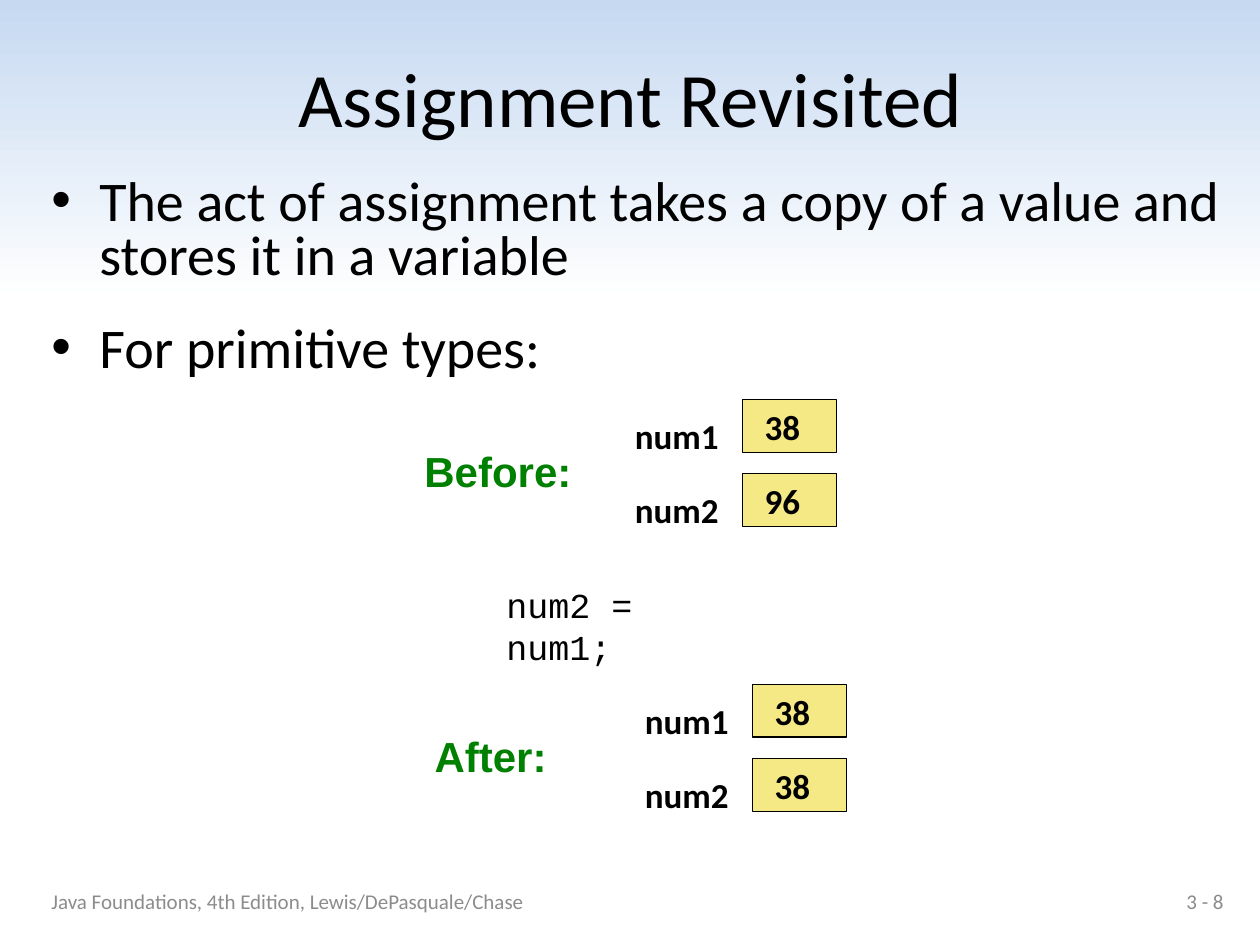
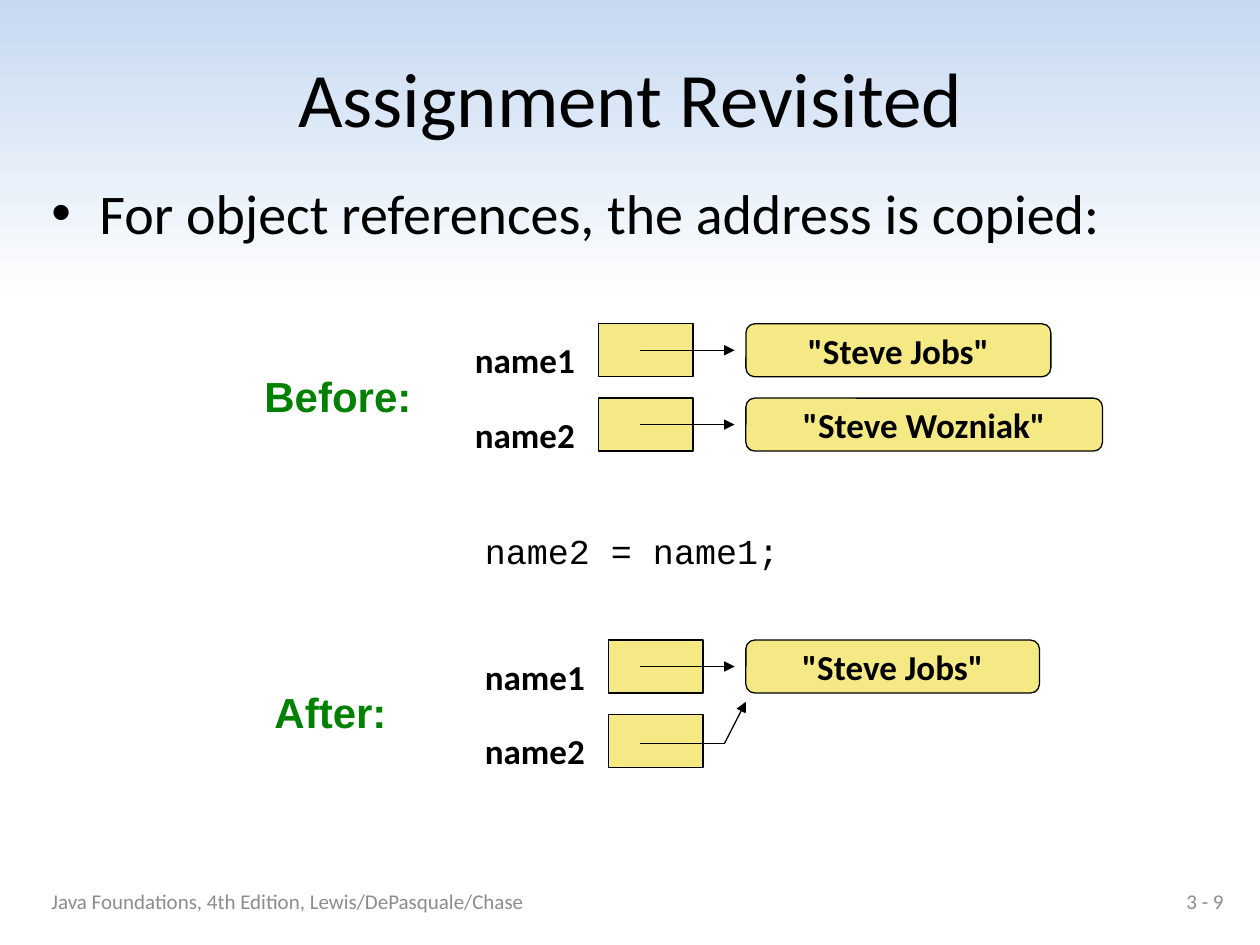
from itertools import pairwise

from lxml import etree
from pptx import Presentation
from pptx.dml.color import RGBColor
from pptx.enum.shapes import MSO_CONNECTOR, MSO_SHAPE
from pptx.enum.text import MSO_ANCHOR, MSO_AUTO_SIZE, PP_ALIGN
from pptx.oxml.ns import qn
from pptx.util import Inches, Pt

RECT, ROUND = MSO_SHAPE.RECTANGLE, MSO_SHAPE.ROUNDED_RECTANGLE
STRAIGHT = MSO_CONNECTOR.STRAIGHT
TOP, MIDDLE = MSO_ANCHOR.TOP, MSO_ANCHOR.MIDDLE
LEFT, CENTER, RIGHT = PP_ALIGN.LEFT, PP_ALIGN.CENTER, PP_ALIGN.RIGHT
GROW = MSO_AUTO_SIZE.SHAPE_TO_FIT_TEXT

BLACK, WHITE, SKY, YELLOW = "000000", "FFFFFF", "C6D9F1", "F5E985"
GREEN, GRAY = "008000", "8C8C8C"

TITLE = {"name": "Calibri", "size": 44, "color": BLACK}
BODY = {"name": "Calibri", "size": 32, "color": BLACK}
VALUE = {"name": "Calibri", "size": 20, "color": BLACK, "bold": True}
STAGE = {"name": "Arial", "size": 24, "color": GREEN, "bold": True}
CODE = {"name": "Courier New", "size": 20, "color": BLACK}
FOOTER = {"name": "Calibri", "size": 12, "color": GRAY}

CELL_WIDTH, CELL_HEIGHT, ROW_PITCH = 0.75, 0.42, 0.59
OBJECT_LEFT = 5.92
STAGE_OFFSET = 1.67
STAGE_WIDTHS = {"Before:": 1.37, "After:": 1.09}

DIRECT = [(5.08, 0.21), (5.83, 0.21)]
BENT = [(5.08, 0.23), (5.75, 0.23), (5.92, -0.1)]

FOOTER_TEXT = "Java Foundations, 4th Edition, Lewis/DePasquale/Chase"

SLIDES = [
    {
        "title": "Assignment Revisited",
        "number": "3 - 8",
        "bullets": [
            "The act of assignment takes a copy of a value and stores it in a variable",
            "For primitive types:",
        ],
        "line_spacing": 0.8,
        "code": ("num2 = num1;", (3.92, 4.58, 2.2, 0.43)),
        "label_width": 0.87,
        "label_offset": 0.95,
        "stages": [
            ("Before:", 5.89, 3.17, [
                {"name": "num1", "value": "38"},
                {"name": "num2", "value": "96"},
            ]),
            ("After:", 5.97, 5.43, [
                {"name": "num1", "value": "38"},
                {"name": "num2", "value": "38"},
            ]),
        ],
    },
    {
        "title": "Assignment Revisited",
        "number": "3 - 9",
        "bullets": ["For object references, the address is copied:"],
        "line_spacing": 1.0,
        "code": ("name2 = name1;", (3.75, 4.15, 2.56, 0.44)),
        "label_width": 1.03,
        "label_offset": 1.08,
        "stages": [
            ("Before:", 4.75, 2.57, [
                {"name": "name1", "object": ('"Steve Jobs"', 2.42), "arrow": DIRECT},
                {"name": "name2", "object": ('"Steve Wozniak"', 2.83), "arrow": DIRECT},
            ]),
            ("After:", 4.83, 5.08, [
                {"name": "name1", "object": ('"Steve Jobs"', 2.33), "arrow": DIRECT},
                {"name": "name2", "arrow": BENT},
            ]),
        ],
    },
]


def rgb(color):
    return RGBColor.from_string(color)


def place(box, at):
    for side, length in zip(("left", "top", "width", "height"), at):
        setattr(box, side, Inches(length))


def write(box, texts, style, align=LEFT, anchor=TOP, wrap=True):
    frame = box.text_frame
    frame.word_wrap = wrap
    frame.vertical_anchor = anchor
    for index, text in enumerate(texts):
        para = frame.add_paragraph() if index else frame.paragraphs[0]
        para.alignment = align
        span = para.add_run()
        span.text = text
        for key, setting in style.items():
            if key == "color":
                span.font.color.rgb = rgb(setting)
            else:
                setattr(span.font, key, Pt(setting) if key == "size" else setting)
    return frame.paragraphs


def add_text(page, text, at, style, **layout):
    box = page.shapes.add_textbox(*map(Inches, at))
    write(box, [text], style, **layout)
    return box


def add_label(page, text, at, style):
    box = add_text(page, text, at, style, wrap=False)
    box.text_frame.auto_size = GROW


def add_bullets(page, texts, line_spacing):
    box = page.shapes.add_textbox(*map(Inches, (0.31, 1.37, 9.51, 5.58)))
    for index, para in enumerate(write(box, texts, BODY)):
        para.line_spacing = line_spacing
        para.space_before = Pt(22.4 if index else 0)
        props = para._p.get_or_add_pPr()
        props.set("marL", str(Inches(0.38)))
        props.set("indent", str(-Inches(0.38)))
        etree.SubElement(props, qn("a:buFont")).set("typeface", "Arial")
        etree.SubElement(props, qn("a:buChar")).set("char", "•")


def add_cell(page, kind, left, top, width):
    cell = page.shapes.add_shape(kind, *map(Inches, (left, top, width, CELL_HEIGHT)))
    cell.shadow.inherit = False
    cell.fill.solid()
    cell.fill.fore_color.rgb = rgb(YELLOW)
    cell.line.color.rgb = rgb(BLACK)
    cell.line.width = Pt(0.75)
    return cell


def add_arrow(page, points, top):
    for start, end in pairwise(points):
        line = page.shapes.add_connector(
            STRAIGHT, Inches(start[0]), Inches(top + start[1]),
            Inches(end[0]), Inches(top + end[1]))
        line.line.color.rgb = rgb(BLACK)
        line.line.width = Pt(0.75)
        props = line._element.spPr
        etree.SubElement(props, qn("a:effectLst"))
        if end == points[-1]:
            outline = props.find(qn("a:ln"))
            etree.SubElement(outline, qn("a:tailEnd")).set("type", "triangle")


def add_stage(page, content, heading, left, top, rows):
    label_left = left - content["label_offset"]
    for index, row in enumerate(rows):
        row_top = top + index * ROW_PITCH
        add_cell(page, RECT, left, row_top, CELL_WIDTH)
        add_label(page, row["name"],
                  (label_left, row_top + 0.07, content["label_width"], 0.43), VALUE)
        if "value" in row:
            add_label(page, row["value"], (left + 0.08, row_top, 0.53, 0.43), VALUE)
        if "object" in row:
            text, width = row["object"]
            cell = add_cell(page, ROUND, OBJECT_LEFT, row_top, width)
            write(cell, [text], VALUE, align=CENTER, anchor=MIDDLE, wrap=False)
        if "arrow" in row:
            add_arrow(page, row["arrow"], row_top)
    add_label(page, heading,
              (label_left - STAGE_OFFSET, top + 0.32, STAGE_WIDTHS[heading], 0.5), STAGE)


def paint_background(master):
    fill = master.background.fill
    fill.gradient()
    fill.gradient_angle = 90
    for stop, (position, color) in zip(fill.gradient_stops, [(0.68, WHITE), (1, SKY)]):
        stop.position = position
        stop.color.rgb = rgb(color)


def build_slide(deck, content):
    page = deck.slides.add_slide(deck.slide_layouts[5])
    title = page.shapes.title
    place(title, (0.19, 0.3, 9.63, 0.94))
    write(title, [content["title"]], TITLE, align=CENTER, anchor=MIDDLE)
    add_bullets(page, content["bullets"], content["line_spacing"])
    add_text(page, FOOTER_TEXT, (0.31, 6.95, 7.17, 0.4), FOOTER, anchor=MIDDLE)
    add_text(page, content["number"], (7.48, 6.95, 2.33, 0.4), FOOTER,
             align=RIGHT, anchor=MIDDLE)
    code, code_at = content["code"]
    add_label(page, code, code_at, CODE)
    for stage in content["stages"]:
        add_stage(page, content, *stage)


def main():
    deck = Presentation()
    deck.slide_width, deck.slide_height = Inches(10), Inches(7.5)
    paint_background(deck.slide_master)
    for content in SLIDES:
        build_slide(deck, content)
    deck.save("out.pptx")


if __name__ == "__main__":
    main()
